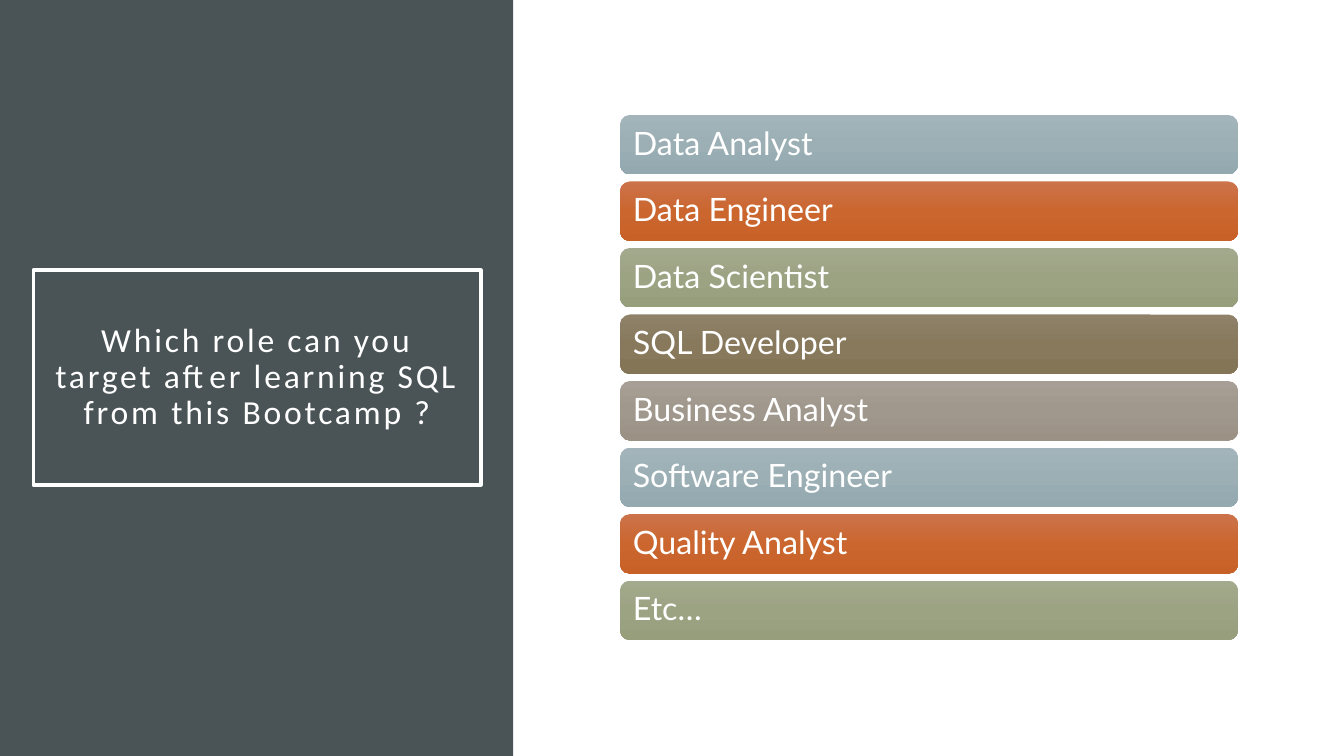
from copy import deepcopy

from pptx import Presentation
from pptx.dml.color import RGBColor
from pptx.enum.shapes import MSO_SHAPE as Shape
from pptx.enum.text import MSO_ANCHOR as Anchor, MSO_AUTO_SIZE as AutoSize, PP_ALIGN as Align
from pptx.util import Inches, Pt

WHITE = "FFFFFF"
SLATE = "4A5356"

# Top, middle and bottom colour of each bar, repeated down the list
GRADIENTS = [
    ("A3B5BB", "9BAFB5", "93A9AF"),
    ("CC734B", "CB662F", "C86128"),
    ("A3A98C", "9CA383", "979E7C"),
    ("8F8269", "88795C", "847557"),
    ("A79F95", "A0988C", "9B9285"),
]
ROLES = [
    "Data Analyst", "Data Engineer", "Data Scientist", "SQL Developer",
    "Business Analyst", "Software Engineer", "Quality Analyst", "Etc…",
]
BAR_LEFT, BAR_TOP, BAR_WIDTH, BAR_HEIGHT = 6.15, 1.14, 6.13, 0.59
BAR_STEP = 0.66


def color(hex_code):
    return RGBColor.from_string(hex_code)


def write(box, text, *, font, size, align=Align.LEFT, inset=0.1, spacing=0):
    frame = box.text_frame
    frame.word_wrap = True
    frame.auto_size = AutoSize.NONE
    frame.vertical_anchor = Anchor.MIDDLE
    frame.margin_left = frame.margin_right = Inches(inset)
    frame.margin_top = frame.margin_bottom = Inches(inset)
    para = frame.paragraphs[0]
    para.alignment = align
    para.line_spacing = 0.9
    span = para.add_run()
    span.text = text
    span.font.name = font
    span.font.size = Pt(size)
    span.font.color.rgb = color(WHITE)
    if spacing:
        span.font._element.set("spc", str(spacing * 100))


def add_block(page, kind, left, top, width, height):
    block = page.shapes.add_shape(
        kind, Inches(left), Inches(top), Inches(width), Inches(height))
    block.shadow.inherit = False
    block.line.fill.background()
    return block


def fill_gradient(block, top, middle, bottom):
    fill = block.fill
    fill.gradient()
    fill.gradient_angle = 270
    # The default gradient has two stops; a third goes between them
    first = block.element.spPr.gradFill.gsLst[0]
    first.addnext(deepcopy(first))
    stops = zip(fill.gradient_stops, (0, 0.5, 1), (top, middle, bottom))
    for stop, position, hex_code in stops:
        stop.position = position
        stop.color.rgb = color(hex_code)


def add_role(page, index, role):
    bar = add_block(page, Shape.ROUNDED_RECTANGLE, BAR_LEFT,
                    BAR_TOP + index * BAR_STEP, BAR_WIDTH, BAR_HEIGHT)
    fill_gradient(bar, *GRADIENTS[index % len(GRADIENTS)])
    write(bar, role, font="Lato", size=23)


def add_title(page, text):
    title = page.shapes.title
    title.left, title.top = Inches(0.33), Inches(2.68)
    title.width, title.height = Inches(4.44), Inches(2.13)
    title.line.color.rgb = color(WHITE)
    title.line.width = Pt(2.5)
    write(title, text, font="Calibri", size=24, align=Align.CENTER,
          inset=0.2, spacing=2)
    return title


def main():
    deck = Presentation()
    deck.slide_width, deck.slide_height = Inches(13.33), Inches(7.5)
    page = deck.slides.add_slide(deck.slide_layouts[5])

    # Dark side panel, placed behind the framed title
    title = add_title(
        page, "Which role can you target after learning SQL from this Bootcamp ?")
    panel = add_block(page, Shape.RECTANGLE, 0, 0, 5.09, 7.5)
    panel.fill.solid()
    panel.fill.fore_color.rgb = color(SLATE)
    title.element.addprevious(panel.element)

    # List of roles
    for index, role in enumerate(ROLES):
        add_role(page, index, role)

    deck.save("out.pptx")


main()
